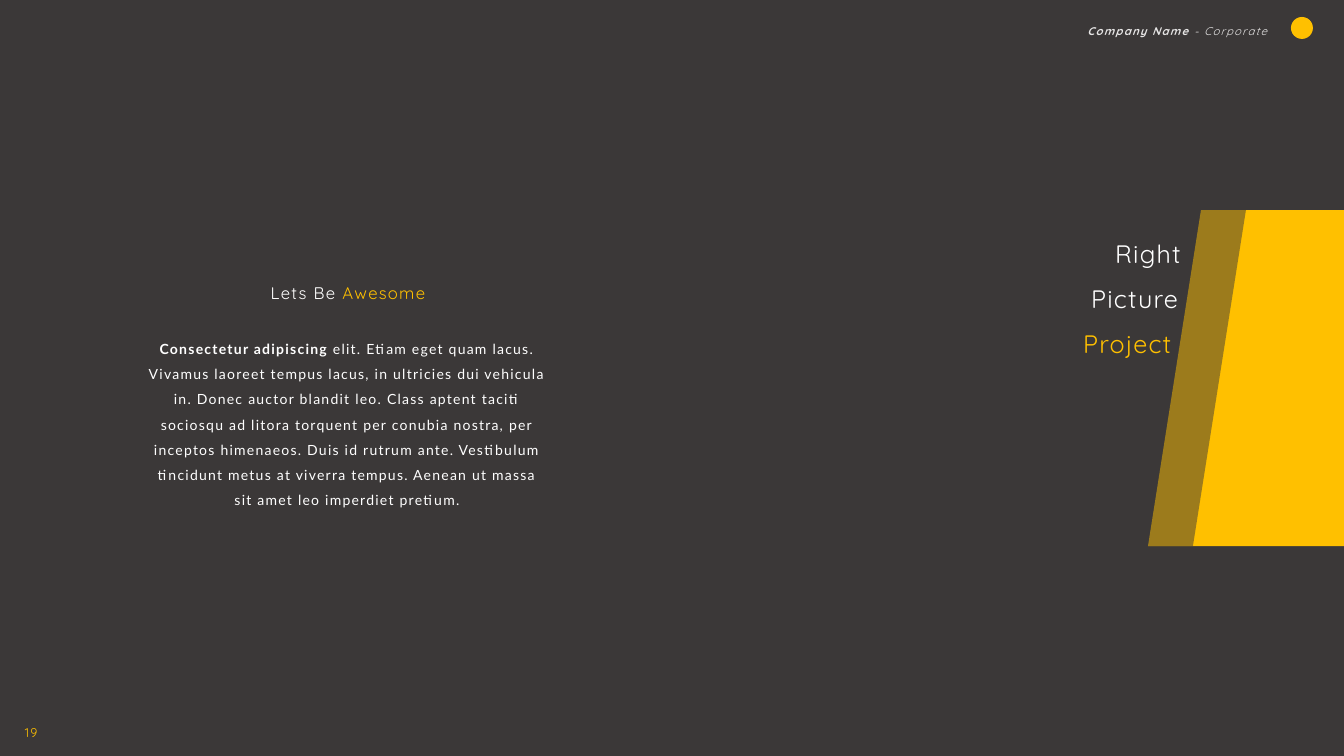
import pptx
import pptx.dml.color
import pptx.enum.shapes
import pptx.enum.text
import pptx.oxml
import pptx.oxml.ns
import pptx.util

WIDE, HIGH = 1344, 756
UNIT = 12192000 / WIDE
DARK, GOLD, PALE, WHITE = "3B3838", "FFC000", "E7E6E6", "FFFFFF"
TOP, BASE, SLANT = 210, 546, 53
ALIGN = pptx.enum.text.PP_ALIGN
BODY = (
    "elit. Etiam eget quam lacus. Vivamus laoreet tempus lacus, in ultricies "
    "dui vehicula in. Donec auctor blandit leo. Class aptent taciti sociosqu "
    "ad litora torquent per conubia nostra, per inceptos himenaeos. Duis id "
    "rutrum ante. Vestibulum tincidunt metus at viverra tempus. Aenean ut "
    "massa sit amet leo imperdiet pretium."
)


def px(count):
    return pptx.util.Emu(round(count * UNIT))


def paint(fill, tone):
    fill.solid()
    fill.fore_color.rgb = pptx.dml.color.RGBColor.from_string(tone)


def style(run, size, tone, face="Quicksand", bold=False, italic=False):
    font = run.font
    font.size = pptx.util.Pt(size)
    font.name = face
    font.bold = bold
    font.italic = italic
    paint(font.fill, tone)
    run._r.get_or_add_rPr().set("spc", "90")


def space(para, align):
    para.alignment = align
    para.line_spacing = 1.5
    para.space_before = pptx.util.Pt(0)


def label(slide, place, parts, size, align=ALIGN.LEFT, **look):
    """Add a one-paragraph text box; parts holds (text, tone, bold)."""
    box = slide.shapes.add_textbox(*map(px, place))
    box.text_frame.word_wrap = True
    para = box.text_frame.paragraphs[0]
    space(para, align)
    for text, tone, bold in parts:
        run = para.add_run()
        run.text = text
        style(run, size, tone, bold=bold, **look)


def plain(shape, tone):
    shape.shadow.inherit = False
    paint(shape.fill, tone)
    shape.line.fill.background()


def panel(slide, points, tone, alpha=100):
    path = slide.shapes.build_freeform(*points[0], scale=UNIT)
    path.add_line_segments(points[1:], close=True)
    shape = path.convert_to_shape()
    plain(shape, tone)
    if alpha < 100:
        color = shape._element.spPr.find(".//" + pptx.oxml.ns.qn("a:srgbClr"))
        color.append(pptx.oxml.parse_xml(
            f'<a:alpha {pptx.oxml.ns.nsdecls("a")} val="{alpha * 1000}"/>'))


def heading(slide, place, lines, size):
    """Fill the title; lines holds (text, tone, indent)."""
    title = slide.shapes.title
    title.left, title.top, title.width, title.height = map(px, place)
    frame = title.text_frame
    frame.text = "\n".join(text for text, _, _ in lines)
    frame.word_wrap = True
    frame.auto_size = pptx.enum.text.MSO_AUTO_SIZE.NONE
    frame.vertical_anchor = pptx.enum.text.MSO_ANCHOR.MIDDLE
    for para, (_, tone, indent) in zip(frame.paragraphs, lines):
        para._p.get_or_add_pPr().set("marL", str(px(indent)))
        space(para, ALIGN.LEFT)
        style(para.runs[0], size, tone)
    # Bring the title in front of the panels
    slide.shapes._spTree.append(title._element)


def main():
    deck = pptx.Presentation()
    deck.slide_width, deck.slide_height = px(WIDE), px(HIGH)
    slide = deck.slides.add_slide(deck.slide_layouts[5])
    paint(slide.background.fill, DARK)

    # Header and page number
    mark = slide.shapes.add_shape(
        pptx.enum.shapes.MSO_SHAPE.OVAL, *map(px, (1291, 17, 22, 22)))
    plain(mark, GOLD)
    label(slide, (1073, 13, 204, 28),
          [("Company Name ", PALE, True), ("- Corporate", PALE, False)],
          8, ALIGN.RIGHT, italic=True)
    label(slide, (15, 712, 53, 30), [("19", GOLD, False)], 9)

    # Slanted panels
    panel(slide, [(1148 + SLANT, TOP), (WIDE, TOP), (WIDE, BASE),
                  (1148, BASE)], GOLD)
    panel(slide, [(652 + SLANT, TOP), (1193 + SLANT, TOP), (1193, BASE),
                  (652, BASE)], DARK, 50)

    # Left text
    label(slide, (244, 268, 208, 37),
          [("Lets Be ", WHITE, False), ("Awesome", GOLD, False)],
          12, ALIGN.CENTER)
    label(slide, (137, 327, 420, 159),
          [("Consectetur adipiscing ", WHITE, True), (BODY, WHITE, False)],
          10, ALIGN.CENTER, face="Lato")

    # Title
    heading(slide, (1073, 220, 150, 142),
            [("Right", WHITE, 32), ("Picture", WHITE, 8),
             ("Project", GOLD, 0)], 18)
    deck.save("out.pptx")


if __name__ == "__main__":
    main()
